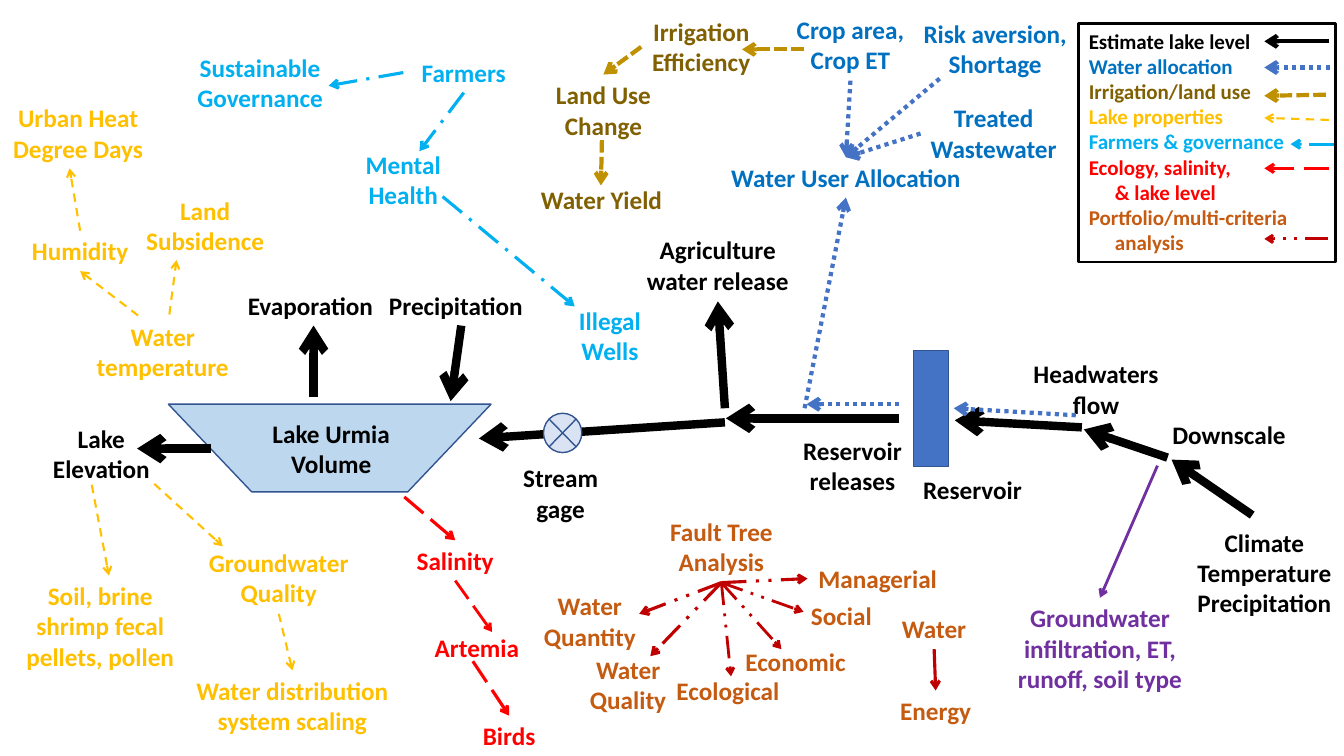
from pptx import Presentation
from pptx.dml.color import RGBColor
from pptx.enum.dml import MSO_LINE
from pptx.enum.shapes import MSO_CONNECTOR, MSO_SHAPE
from pptx.enum.text import MSO_ANCHOR, MSO_AUTO_SIZE, PP_ALIGN
from pptx.oxml.ns import qn
from pptx.oxml.xmlchemy import OxmlElement
from pptx.util import Pt

PX = 9144  # 100 px to the inch
FONT = "Calibri"
LEFT, CENTER = PP_ALIGN.LEFT, PP_ALIGN.CENTER
DOT, SHORT_DASH, DASH = MSO_LINE.ROUND_DOT, MSO_LINE.SQUARE_DOT, MSO_LINE.DASH
LONG_DASH, DASH_DOT = MSO_LINE.LONG_DASH, MSO_LINE.LONG_DASH_DOT
DASH_DOT_DOT = MSO_LINE.DASH_DOT_DOT
SOLID = None
OUTLINE = "325491"

# colour: (text, left, top, width, lines)
LABELS = {
    "000000": [
        ("Stream gage", 505, 454, 102, 2),
        ("Precipitation", 376, 283, 163, 1),
        ("Evaporation", 236, 283, 150, 1),
        ("Reservoir", 899, 466, 131, 1),
        ("Lake Elevation", 39, 415, 123, 2),
        ("Reservoir releases", 780, 427, 131, 2),
        ("Agriculture water release", 630, 228, 164, 2),
        ("Headwaters flow", 1014, 351, 146, 2),
        ("Lake Urmia Volume", 250, 410, 157, 2),
        ("Downscale", 1146, 411, 146, 1),
        ("Climate\nTemperature Precipitation", 1158, 518, 192, 3),
    ],
    "0070C0": [
        ("Risk aversion,\nShortage", 906, 13, 162, 2),
        ("Water User Allocation", 693, 156, 292, 1),
        ("Crop area, Crop ET", 776, 9, 135, 2),
        ("Treated Wastewater", 913, 97, 145, 2),
    ],
    "806000": [
        ("Land Use Change", 539, 74, 119, 2),
        ("Irrigation Efficiency", 636, 11, 119, 2),
        ("Water Yield", 524, 178, 145, 1),
    ],
    "FFC000": [
        ("Soil, brine shrimp fecal pellets, pollen", 13, 571, 173, 3),
        ("Water temperature", 80, 314, 163, 2),
        ("Humidity", -2, 229, 163, 1),
        ("Urban Heat Degree Days", -4, 97, 163, 2),
        ("Land Subsidence", 122, 189, 163, 2),
        ("Groundwater Quality", 195, 538, 163, 2),
        ("Water distribution system scaling", 181, 665, 218, 2),
    ],
    "00B0F0": [
        ("Illegal Wells", 560, 298, 90, 2),
        ("Mental Health", 340, 143, 120, 2),
        ("Sustainable Governance", 183, 47, 150, 2),
        ("Farmers", 400, 52, 120, 1),
    ],
    "FF0000": [
        ("Salinity", 370, 536, 163, 1),
        ("Artemia", 364, 622, 218, 1),
        ("Birds", 396, 710, 218, 1),
    ],
    "C55A11": [
        ("Water", 845, 604, 163, 1),
        ("Energy", 819, 685, 218, 1),
        ("Fault Tree Analysis", 634, 507, 163, 2),
        ("Water Quantity", 523, 581, 124, 2),
        ("Water Quality", 561, 644, 124, 2),
        ("Ecological", 660, 665, 124, 1),
        ("Economic", 727, 636, 124, 1),
        ("Social", 784, 591, 101, 1),
        ("Managerial", 801, 554, 139, 1),
    ],
    "7030A0": [("Groundwater infiltration, ET, runoff, soil type", 997, 593, 188, 3)],
}
LEFT_ALIGNED = {"Precipitation", "Evaporation"}

# (colour, points, dash): (from x, from y, to x, to y)
ARROWS = {
    ("000000", 6, SOLID): [
        (719, 419, 475, 435), (892, 415, 720, 415), (1073, 424, 947, 417),
        (457, 323, 447, 398), (311, 394, 311, 323), (209, 445, 136, 445),
        (719, 405, 712, 299), (1158, 454, 1075, 426), (1242, 511, 1162, 456),
    ],
    ("000000", 3, SOLID): [(1318, 41, 1254, 41)],
    ("4472C4", 3, DOT): [
        (843, 80, 839, 156), (932, 78, 839, 156), (892, 401, 800, 401),
        (1067, 412, 946, 405), (798, 405, 839, 196), (913, 132, 839, 156),
        (1319, 67, 1254, 67),
    ],
    ("BF9000", 3, SHORT_DASH): [
        (636, 47, 598, 74), (797, 49, 736, 49), (597, 139, 596, 184),
        (1315, 94, 1254, 95),
    ],
    ("FFC000", 1.5, DASH): [
        (91, 481, 108, 571), (137, 313, 80, 269), (80, 229, 69, 167),
        (168, 312, 175, 258), (277, 609, 289, 665), (153, 480, 221, 542),
        (1318, 119, 1254, 117),
    ],
    ("00B0F0", 2.25, DASH_DOT): [
        (439, 195, 570, 304), (460, 93, 416, 150), (400, 73, 326, 85),
        (1323, 143, 1280, 143),
    ],
    ("FF0000", 2.25, LONG_DASH): [
        (401, 493, 451, 536), (469, 656, 505, 710), (1318, 167, 1254, 167),
    ],
    ("FF0000", 2, LONG_DASH): [(451, 576, 488, 627)],
    ("C00000", 2.25, DASH_DOT_DOT): [
        (715, 577, 634, 609), (715, 577, 645, 651), (715, 577, 803, 576),
    ],
    ("C00000", 2, DASH_DOT_DOT): [
        (715, 577, 725, 671), (715, 577, 775, 644), (715, 577, 797, 607),
        (1317, 237, 1254, 237),
    ],
    ("C00000", 2.25, SOLID): [(926, 645, 928, 685)],
    ("7030A0", 2, SOLID): [(1148, 462, 1091, 593)],
}

LEGEND = [
    ("Estimate lake level", "000000"),
    ("Water allocation", "0070C0"),
    ("Irrigation/land use", "806000"),
    ("Lake properties", "FFC000"),
    ("Farmers & governance", "00B0F0"),
    ("Ecology, salinity,", "FF0000"),
    ("\t& lake level", "FF0000"),
    ("Portfolio/multi-criteria analysis", "C55A11"),
]


def rgb(value):
    return RGBColor.from_string(value)


def add_block(kind, box, fill, line, points):
    shape = slide.shapes.add_shape(kind, *(n * PX for n in box))
    shape.shadow.inherit = False
    if fill:
        shape.fill.solid()
        shape.fill.fore_color.rgb = rgb(fill)
    else:
        shape.fill.background()
    shape.line.color.rgb = rgb(line)
    shape.line.width = Pt(points)
    return shape


def format_paragraph(paragraph, size, colour, alignment):
    paragraph.alignment = alignment
    font = paragraph.font
    font.name, font.size, font.bold = FONT, Pt(size), True
    font.color.rgb = rgb(colour)


def add_label(text, left, top, width, lines, colour):
    height = round(10 + 30.3 * lines)
    label = slide.shapes.add_textbox(left * PX, top * PX, width * PX, height * PX)
    frame = label.text_frame
    frame.word_wrap = True
    frame.auto_size = MSO_AUTO_SIZE.SHAPE_TO_FIT_TEXT
    frame.text = text
    for paragraph in frame.paragraphs:
        format_paragraph(paragraph, 18, colour, LEFT if text in LEFT_ALIGNED else CENTER)
    return label


def side_at(x, y, labels):
    """Return the (label, side) whose middle lies within 2 px of a point, if any."""
    for label in labels:
        left, top, width, height = (
            n / PX for n in (label.left, label.top, label.width, label.height))
        middles = [(left + width / 2, top), (left, top + height / 2),
                   (left + width / 2, top + height), (left + width, top + height / 2)]
        for side, (middle_x, middle_y) in enumerate(middles):
            if max(abs(middle_x - x), abs(middle_y - y)) <= 2:
                return label, side
    return None


def add_arrow(points, colour, width, dash, labels):
    arrow = slide.shapes.add_connector(MSO_CONNECTOR.STRAIGHT, *(n * PX for n in points))
    for join, end in ((arrow.begin_connect, points[:2]), (arrow.end_connect, points[2:])):
        site = side_at(*end, labels)
        if site:
            join(*site)
    arrow.line.color.rgb = rgb(colour)
    arrow.line.width = Pt(width)
    if dash:
        arrow.line.dash_style = dash
    properties = arrow._element.spPr
    head = OxmlElement("a:tailEnd")
    head.set("type", "arrow")
    properties.find(qn("a:ln")).append(head)
    properties.append(OxmlElement("a:effectLst"))


def add_legend():
    legend = add_block(MSO_SHAPE.RECTANGLE, (1070, 23, 255, 237), None, "000000", 2)
    frame = legend.text_frame
    frame.word_wrap = True
    frame.vertical_anchor = MSO_ANCHOR.TOP
    frame.auto_size = MSO_AUTO_SIZE.SHAPE_TO_FIT_TEXT
    frame.text = "\n".join(text for text, _ in LEGEND)
    for paragraph, (_, colour) in zip(frame.paragraphs, LEGEND):
        format_paragraph(paragraph, 15, colour, LEFT)
        properties = paragraph._p.get_or_add_pPr()
        properties.set("marL", str(26 * PX))
        properties.set("indent", str(-26 * PX))


presentation = Presentation()
presentation.slide_width, presentation.slide_height = 1333 * PX, 750 * PX
slide = presentation.slides.add_slide(presentation.slide_layouts[6])

lake = add_block(MSO_SHAPE.TRAPEZOID, (167, 401, 320, 87), "BDD7EE", OUTLINE, 1)
lake.rotation = 180
lake.adjustments[0] = 0.95
labels = [add_label(*row, colour) for colour, rows in LABELS.items() for row in rows]
add_block(MSO_SHAPE.RECTANGLE, (906, 348, 35, 115), "4472C4", OUTLINE, 1)
add_legend()
for style, arrows in ARROWS.items():
    for points in arrows:
        add_arrow(points, *style, labels)
add_block(MSO_SHAPE.FLOWCHART_SUMMING_JUNCTION, (539, 410, 38, 39), "DAE3F3", OUTLINE, 1)

presentation.save("out.pptx")
